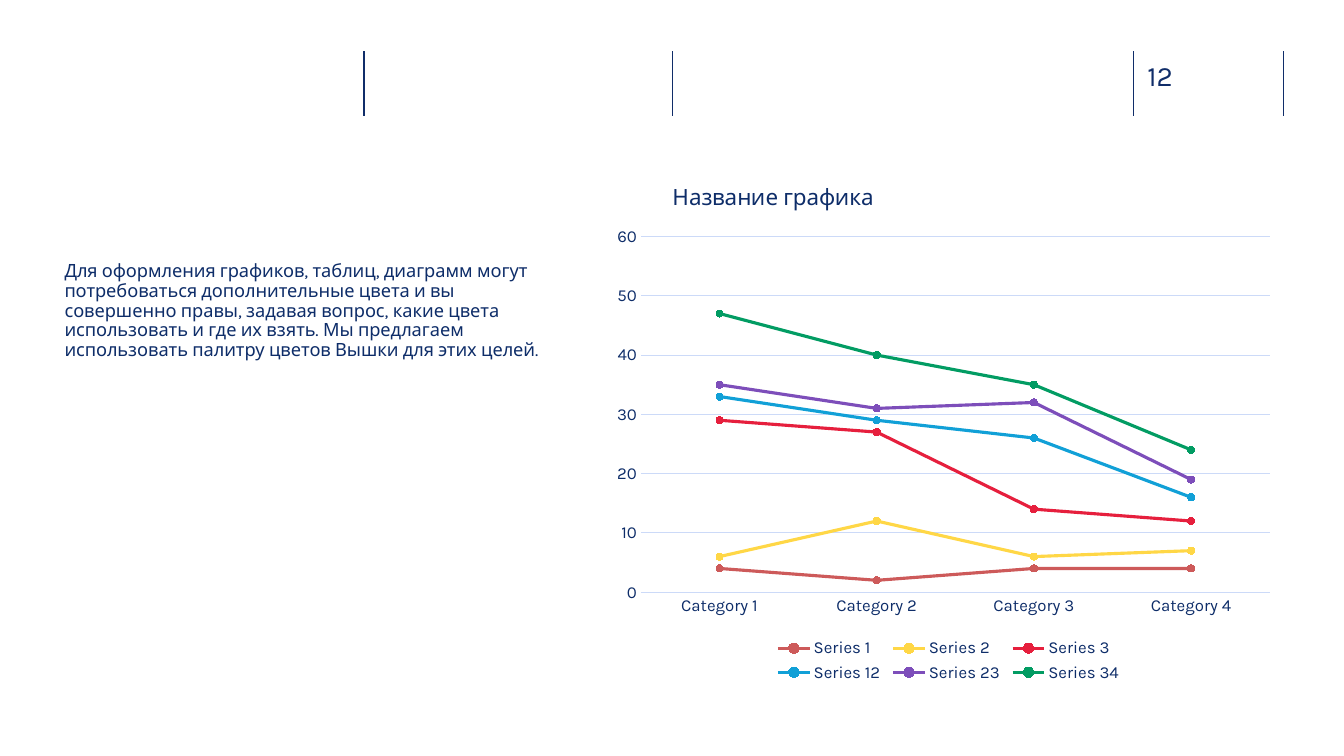
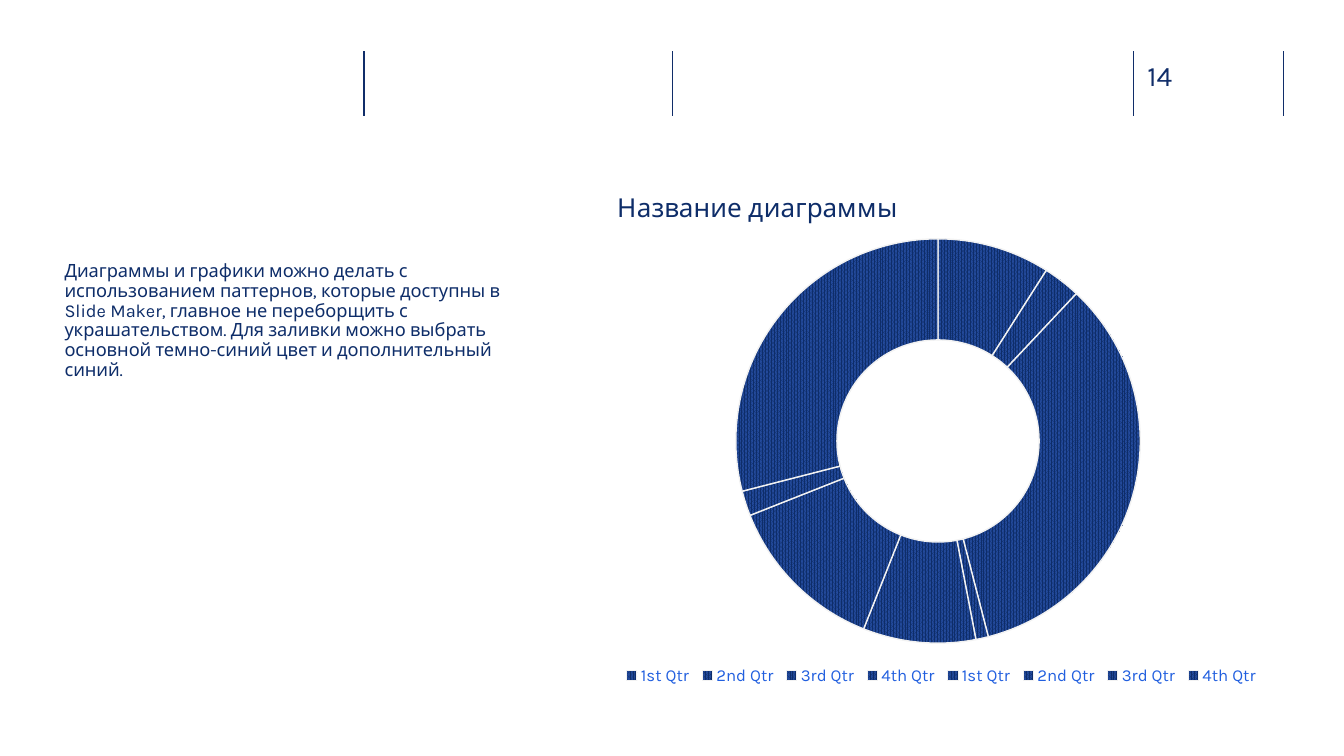
from lxml import etree
from pptx import Presentation
from pptx.chart.data import CategoryChartData
from pptx.dml.color import RGBColor
from pptx.enum.chart import (XL_CHART_TYPE, XL_LEGEND_POSITION,
                             XL_MARKER_STYLE, XL_TICK_MARK)
from pptx.enum.dml import MSO_PATTERN
from pptx.enum.shapes import MSO_CONNECTOR
from pptx.oxml.ns import qn
from pptx.util import Inches, Pt

LINE_CHART = XL_CHART_TYPE.LINE_MARKERS_STACKED
DOUGHNUT_CHART = XL_CHART_TYPE.DOUGHNUT
LEGEND_BOTTOM = XL_LEGEND_POSITION.BOTTOM
NO_TICK = XL_TICK_MARK.NONE
CIRCLE = XL_MARKER_STYLE.CIRCLE
DENSE_DOTS = MSO_PATTERN.PERCENT_80
STRAIGHT = MSO_CONNECTOR.STRAIGHT

FONT = "Karla"
RULE_NAVY = RGBColor(0x10, 0x2D, 0x69)
TEXT_NAVY = RGBColor(0x0E, 0x2D, 0x69)
CHART_NAVY = RGBColor(0x0F, 0x2C, 0x68)
PATTERN_BLUE = RGBColor(0x23, 0x4A, 0x9B)
LEGEND_BLUE = RGBColor(0x21, 0x5F, 0xDF)
GRID_BLUE = RGBColor(0xCC, 0xDA, 0xF8)
PALE_GREY = RGBColor(0xF2, 0xF2, 0xF2)
RED = RGBColor(0xCD, 0x5A, 0x5A)
YELLOW = RGBColor(0xFF, 0xD7, 0x46)
CRIMSON = RGBColor(0xE6, 0x1F, 0x3D)
SKY = RGBColor(0x11, 0xA0, 0xD7)
VIOLET = RGBColor(0x7D, 0x4E, 0xBA)
PLUM = RGBColor(0x96, 0x62, 0x8C)
GREEN = RGBColor(0x02, 0x9C, 0x63)

HEADER_RULES = (3.61, 6.67, 11.24, 12.73)
RULE_TOP, RULE_BOTTOM = 0.51, 1.15

LINE_TEXT = (
    "Для оформления графиков, таблиц, диаграмм могут потребоваться "
    "дополнительные цвета и вы совершенно правы, задавая вопрос, какие цвета "
    "использовать и где их взять. Мы предлагаем использовать палитру цветов "
    "Вышки для этих целей.")
DOUGHNUT_TEXT = (
    "Диаграммы и графики можно делать с использованием паттернов, которые "
    "доступны в Slide Maker, главное не переборщить с украшательством. Для "
    "заливки можно выбрать основной темно-синий цвет и дополнительный синий.")

LINE_CATEGORIES = [f"Category {number}" for number in range(1, 5)]
# name, values, line colour, marker colour
LINE_SERIES = (
    ("Series 1", (4, 2, 4, 4), RED, RED),
    ("Series 2", (2, 10, 2, 3), YELLOW, YELLOW),
    ("Series 3", (23, 15, 8, 5), CRIMSON, CRIMSON),
    ("Series 12", (4, 2, 12, 4), SKY, SKY),
    ("Series 23", (2, 2, 6, 3), VIOLET, PLUM),
    ("Series 34", (12, 9, 3, 5), GREEN, GREEN),
)
QUARTERS = ["1st Qtr", "2nd Qtr", "3rd Qtr", "4th Qtr"] * 2
QUARTER_SERIES = (("Series 1", (9, 3, 34, 1, 9, 13, 2, 29)),)


def style_font(font, size, color):
    font.name = FONT
    font.size = Pt(size)
    font.bold = False
    font.color.rgb = color


def add_text(page, area, text, size, color, bottom_inset=0):
    box = page.shapes.add_textbox(*map(Inches, area))
    frame = box.text_frame
    frame.word_wrap = True
    frame.margin_left = frame.margin_top = frame.margin_right = 0
    frame.margin_bottom = Inches(bottom_inset)
    frame.text = text
    style_font(frame.paragraphs[0].runs[0].font, size, color)
    return frame.paragraphs[0]


def add_header_rule(page, left):
    rule = page.shapes.add_connector(
        STRAIGHT, Inches(left), Inches(RULE_TOP), Inches(left), Inches(RULE_BOTTOM))
    rule.line.color.rgb = RULE_NAVY
    rule.line.width = Pt(1)
    etree.SubElement(rule._element.spPr, qn("a:effectLst"))


def add_page(deck, number, body):
    """Add a page with header rules, page number and left-hand text."""
    page = deck.slides.add_slide(deck.slide_layouts[6])
    for left in HEADER_RULES:
        add_header_rule(page, left)
    add_text(page, (11.38, 0.58, 0.73, 0.34), number, 20, RULE_NAVY)
    paragraph = add_text(page, (0.64, 2.6, 4.73, 2.62), body, 13, TEXT_NAVY, 0.05)
    paragraph.line_spacing = 0.9
    return page


def place_part(part, index, **fractions):
    """Fix a chart part at x, y (and w, h), as fractions of the chart."""
    for old in part.findall(qn("c:layout")):
        part.remove(old)
    layout = etree.Element(qn("c:layout"))
    part.insert(index, layout)
    manual = etree.SubElement(layout, qn("c:manualLayout"))
    settings = {"xMode": "edge", "yMode": "edge", **fractions}
    if part.tag == qn("c:plotArea"):
        settings = {"layoutTarget": "inner", **settings}
    for name, value in settings.items():
        etree.SubElement(manual, qn(f"c:{name}")).set("val", str(value))


def add_chart(page, kind, area, categories, series, title, title_size, legend_color):
    data = CategoryChartData()
    data.categories = categories
    for name, values, *_ in series:
        data.add_series(name, values)
    chart = page.shapes.add_chart(kind, *map(Inches, area), data).chart
    style_font(chart.font, 10, CHART_NAVY)
    chart.has_title = True
    frame = chart.chart_title.text_frame
    frame.text = title
    style_font(frame.paragraphs[0].runs[0].font, title_size, TEXT_NAVY)
    chart.has_legend = True
    chart.legend.position = LEGEND_BOTTOM
    chart.legend.include_in_layout = False
    style_font(chart.legend.font, 12, legend_color)
    return chart


def place_chart_parts(chart, title, plot, legend):
    place_part(chart.chart_title._element, 1, **title)
    place_part(chart._chartSpace.chart.plotArea, 0, **plot)
    place_part(chart.legend._element, 1, **legend)


def style_axes(chart):
    for axis in (chart.category_axis, chart.value_axis):
        axis.major_tick_mark = axis.minor_tick_mark = NO_TICK
        style_font(axis.tick_labels.font, 12, TEXT_NAVY)
    values = chart.value_axis
    values.minimum_scale, values.maximum_scale, values.major_unit = 0, 60, 10
    values.format.line.fill.background()
    values.has_major_gridlines = True
    for line in (chart.category_axis.format.line, values.major_gridlines.format.line):
        line.color.rgb = GRID_BLUE
        line.width = Pt(0.75)


def style_line_series(series, line_color, marker_color):
    series.smooth = False
    series.format.line.color.rgb = line_color
    series.format.line.width = Pt(2.25)
    marker = series.marker
    marker.style = CIRCLE
    marker.size = 5
    marker.format.fill.solid()
    marker.format.fill.fore_color.rgb = marker_color
    marker.format.line.color.rgb = marker_color


def style_slice(piece):
    fill = piece.format.fill
    fill.patterned()
    fill.pattern = DENSE_DOTS
    fill.fore_color.rgb = TEXT_NAVY
    fill.back_color.rgb = PATTERN_BLUE
    piece.format.line.color.rgb = PALE_GREY
    piece.format.line.width = Pt(1)


def build_line_page(deck):
    page = add_page(deck, "12", LINE_TEXT)
    chart = add_chart(page, LINE_CHART, (5.95, 1.62, 6.78, 5.19), LINE_CATEGORIES,
                      LINE_SERIES, "Название графика", 16, TEXT_NAVY)
    place_chart_parts(chart,
                      title={"x": 0.1, "y": 0.03},
                      plot={"x": 0.06, "y": 0.14, "w": 0.92, "h": 0.68},
                      legend={"x": 0.25, "y": 0.9, "w": 0.52, "h": 0.1})
    style_axes(chart)
    chart.plots[0].vary_by_categories = False
    for series, (_, _, line_color, marker_color) in zip(chart.plots[0].series, LINE_SERIES):
        style_line_series(series, line_color, marker_color)


def build_doughnut_page(deck):
    page = add_page(deck, "14", DOUGHNUT_TEXT)
    chart = add_chart(page, DOUGHNUT_CHART, (5.87, 1.63, 6.8, 5.23), QUARTERS,
                      QUARTER_SERIES, "Название диаграммы", 18.6, LEGEND_BLUE)
    place_chart_parts(chart,
                      title={"x": 0.03, "y": 0.04},
                      plot={"x": 0.21, "y": 0.14, "w": 0.59, "h": 0.77},
                      legend={"x": 0.04, "y": 0.94, "w": 0.94, "h": 0.06})
    plot = chart.plots[0]
    plot.vary_by_categories = True
    plot._element.find(qn("c:holeSize")).set("val", "42")
    for index in range(len(QUARTERS)):
        style_slice(plot.series[0].points[index])


def main():
    deck = Presentation()
    deck.slide_width, deck.slide_height = Inches(13.33), Inches(7.5)
    build_line_page(deck)
    build_doughnut_page(deck)
    deck.save("out.pptx")


if __name__ == "__main__":
    main()
